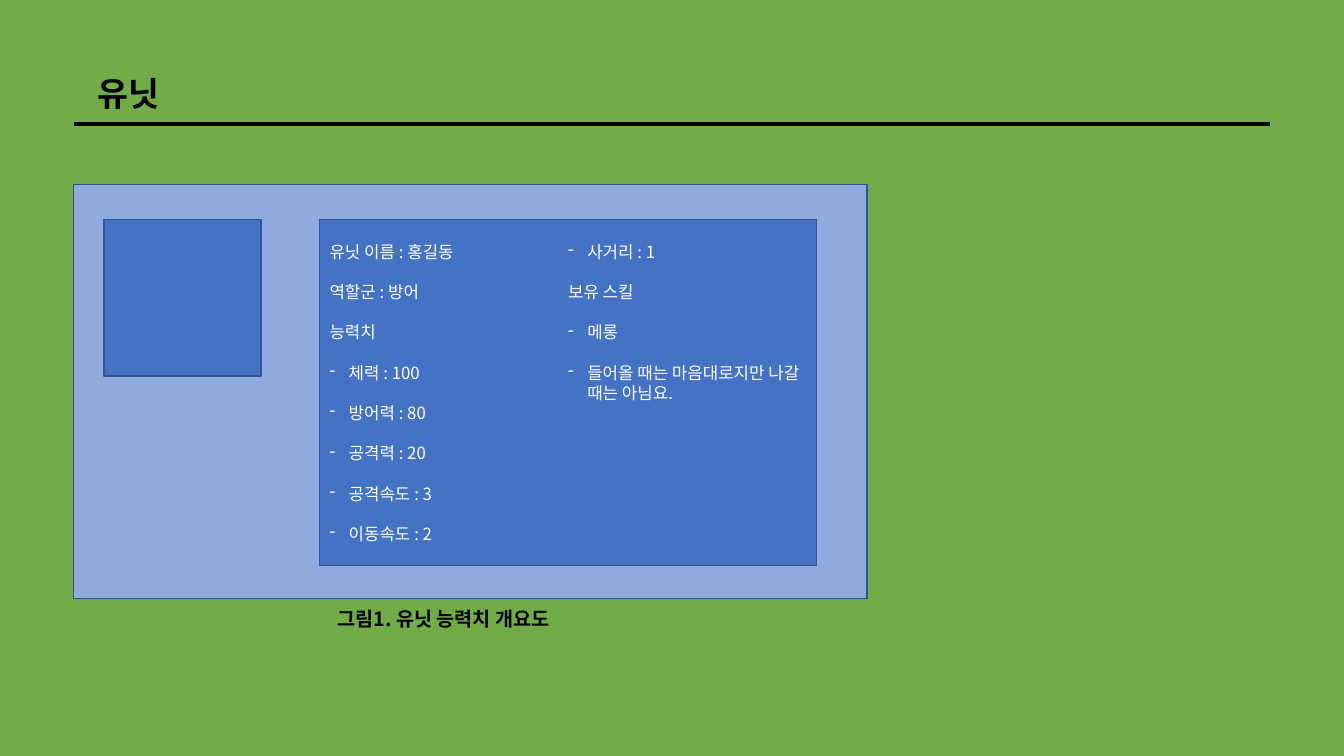
from lxml import etree
from pptx import Presentation
from pptx import util as u
from pptx.dml.color import RGBColor
from pptx.enum import shapes, text
from pptx.oxml.ns import qn

FONT = "Noto Sans CJK KR"
BLACK, WHITE, GREEN = "000000", "FFFFFF", "70AD47"
BLUE, PALE, EDGE = "4472C4", "8FAADC", "325491"
INDENT = u.Inches(0.19)
STATS = [
    (False, "유닛 이름 : 홍길동"), (False, "역할군 : 방어"), (False, "능력치"),
    (True, "체력 : 100"), (True, "방어력 : 80"), (True, "공격력 : 20"),
    (True, "공격속도 : 3"), (True, "이동속도 : 2"), (True, "사거리 : 1"),
    (False, "보유 스킬"), (True, "메롱"),
    (True, "들어올 때는 마음대로지만 나갈 때는 아님요."),
]


def rgb(hex_):
    """Turn a hex string into a colour."""
    return RGBColor.from_string(hex_)


def sub(box, *pct):
    """Return the part of a box given as percent left, top, width, height."""
    x, y, w, h = box
    l, t, pw, ph = (v / 100 for v in pct)
    return int(x + w * l), int(y + h * t), int(w * pw), int(h * ph)


def write(p, words, **fmt):
    """Add a formatted run to a paragraph."""
    r = p.add_run()
    r.text = words
    color = fmt.pop("color")
    for key, value in {"name": FONT, **fmt}.items():
        setattr(r.font, key, value)
    r.font.color.rgb = rgb(color)
    etree.SubElement(r.font._element, qn("a:ea"), typeface=FONT)


def label(s, box, words, size):
    """Place a bold black label."""
    tf = s.shapes.add_textbox(*box).text_frame
    tf.word_wrap = True
    write(tf.paragraphs[0], words, size=u.Pt(size), bold=True, color=BLACK)


def rect(s, box, fill):
    """Place a filled rectangle with a thin edge."""
    sp = s.shapes.add_shape(shapes.MSO_SHAPE.RECTANGLE, *box)
    sp.shadow.inherit = False
    sp.fill.solid()
    sp.fill.fore_color.rgb = rgb(fill)
    sp.line.color.rgb = rgb(EDGE)
    sp.line.width = u.Pt(1)
    return sp


def header(s, box, words):
    """Place the title with a rule along the bottom of the box."""
    label(s, sub(box, 1.18, 0, 10, 89.3), words, 24)
    x, y, w, h = box
    rule = s.shapes.add_connector(shapes.MSO_CONNECTOR.STRAIGHT, x, y + h, x + w, y + h)
    rule.line.color.rgb = rgb(BLACK)
    rule.line.width = u.Pt(2.25)
    etree.SubElement(rule._element.spPr, qn("a:effectLst"))


def stats(s, box):
    """Place the unit's values and skills in two text columns."""
    tf = rect(s, box, BLUE).text_frame
    tf.word_wrap = True
    tf.vertical_anchor = text.MSO_ANCHOR.MIDDLE
    tf._txBody.bodyPr.set("numCol", "2")
    for i, (bullet, words) in enumerate(STATS):
        p = tf.add_paragraph() if i else tf.paragraphs[0]
        p.alignment = text.PP_ALIGN.LEFT
        p.space_after = u.Pt(14.4)
        if bullet:
            pPr = p._p.get_or_add_pPr()
            pPr.set("marL", str(INDENT))
            pPr.set("indent", str(-INDENT))
            etree.SubElement(pPr, qn("a:buChar"), char="-")
        write(p, words, size=u.Pt(12), color=WHITE)


def unit_card(s, box):
    """Place the card with its portrait square and stats panel."""
    rect(s, box, PALE)
    rect(s, sub(box, 3.81, 8.52, 19.82, 37.71), BLUE)
    stats(s, sub(box, 31, 8.52, 62.64, 83.45))


def main():
    """Build and save the slide."""
    prs = Presentation()
    prs.slide_width, prs.slide_height = u.Inches(13.33), u.Inches(7.5)
    s = prs.slides.add_slide(prs.slide_layouts[6])
    s.background.fill.solid()
    s.background.fill.fore_color.rgb = rgb(GREEN)
    page = 0, 0, prs.slide_width, prs.slide_height
    header(s, sub(page, 5.48, 8.93, 89.05, 7.47), "유닛")
    unit_card(s, sub(page, 5.48, 24.4, 59.04, 54.8))
    label(s, sub(page, 24.38, 79.6, 17.5, 4.53), "그림1. 유닛 능력치 개요도", 14)
    prs.save("out.pptx")


main()
